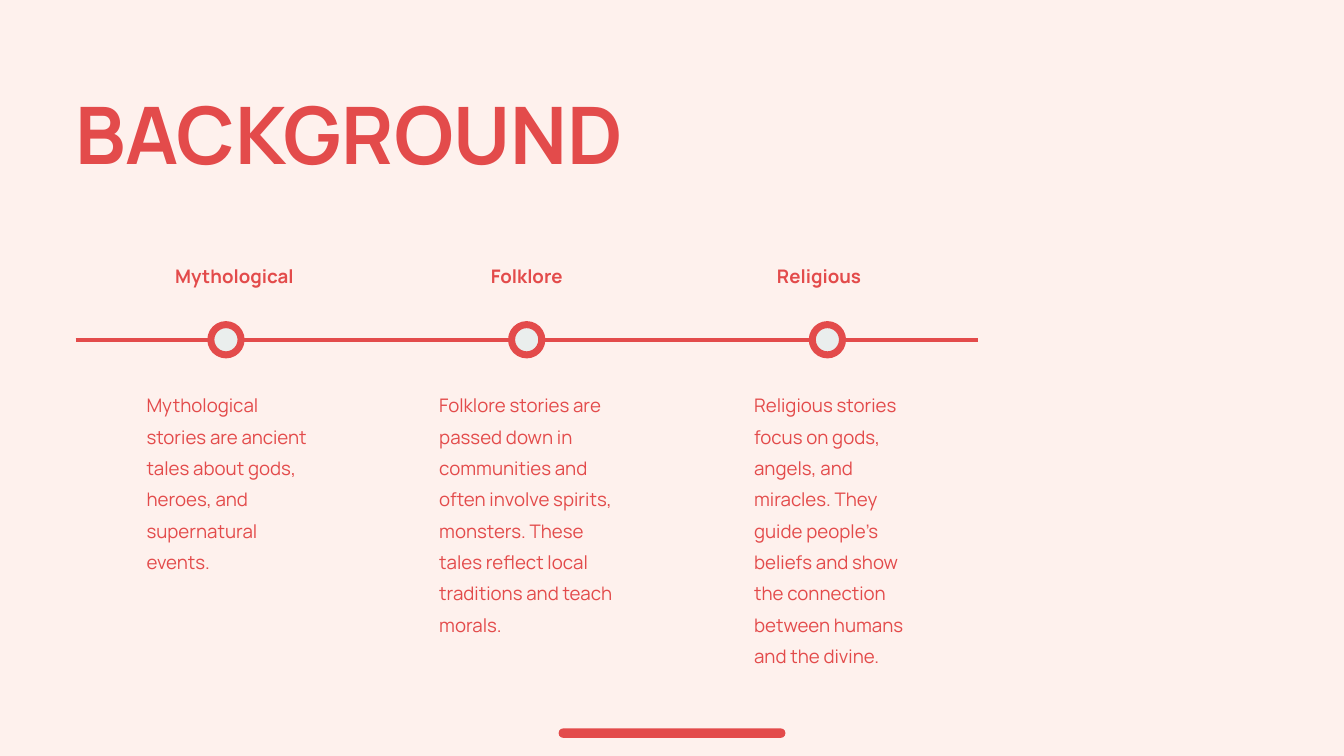
from pptx import Presentation
from pptx.dml.color import RGBColor as RGB
from pptx.enum.shapes import MSO_CONNECTOR as Link, MSO_SHAPE as Shape
from pptx.enum.text import MSO_ANCHOR as Anchor, PP_ALIGN as Align
from pptx.oxml.ns import qn
from pptx.util import Pt
from lxml.etree import SubElement

RED, PALE, CREAM = "E34B4B", "EAEEED", "FEF1ED"
FONT = "Manrope"
AXIS = 364      # height of the timeline
FIRST = 242.1   # centre of the first dot
STEP = 322.2    # gap between dot centres
DOT = 32.4      # dot width

# heading, left of body, body height, body
STAGES = [
    ("Mythological", 157, 194,
     "Mythological stories are ancient tales about gods, heroes, and "
     "supernatural events."),
    ("Folklore", 470.6, 262,
     "Folklore stories are passed down in communities and often involve "
     "spirits, monsters. These tales reflect local traditions and teach morals."),
    ("Religious", 808, 251,
     "Religious stories focus on gods, angels, and miracles. They guide "
     "people’s beliefs and show the connection between humans and the divine."),
]


def color(code):
    return RGB.from_string(code)


def paint(shape, code):
    shape.shadow.inherit = False
    shape.fill.solid()
    shape.fill.fore_color.rgb = color(code)


def add_text(slide, box, words, size, bold=False, align=Align.LEFT, gap=1.4):
    frame = slide.shapes.add_textbox(*map(Pt, box)).text_frame
    frame.word_wrap = True
    frame.vertical_anchor = Anchor.TOP
    frame.margin_left = frame.margin_right = 0
    frame.margin_top = frame.margin_bottom = 0
    para = frame.paragraphs[0]
    para.alignment = align
    para.line_spacing = gap
    run = para.add_run()
    run.text = words
    run.font.name = FONT
    run.font.size = Pt(size)
    run.font.bold = bold
    run.font.color.rgb = color(RED)


def add_line(slide, start, end):
    line = slide.shapes.add_connector(
        Link.STRAIGHT, Pt(start), Pt(AXIS), Pt(end), Pt(AXIS))
    line.line.color.rgb = color(RED)
    line.line.width = Pt(4)
    SubElement(line._element.spPr, qn("a:effectLst"))


def add_dot(slide, mid):
    dot = slide.shapes.add_shape(
        Shape.OVAL, Pt(mid - DOT / 2), Pt(AXIS - DOT / 2), Pt(DOT), Pt(DOT))
    paint(dot, PALE)
    dot.line.color.rgb = color(RED)
    dot.line.width = Pt(7.5)


def add_bar(slide):
    bar = slide.shapes.add_shape(
        Shape.ROUNDED_RECTANGLE, Pt(598.5), Pt(780.4), Pt(243), Pt(10.2))
    bar.adjustments[0] = 0.5
    paint(bar, RED)
    bar.line.fill.background()


def add_stage(slide, index, stage):
    head, left, height, body = stage
    mid = FIRST + index * STEP
    add_line(slide, mid - STEP / 2, mid - DOT / 2)
    add_line(slide, mid + DOT / 2, mid + STEP / 2)
    add_dot(slide, mid)
    add_text(slide, (133.2 + index * 313.2, 274.3, 236, 28.8), head, 20,
             bold=True, align=Align.CENTER)
    add_text(slide, (left, 412.6, 187.2, height), body, 20)


def main():
    deck = Presentation()
    deck.slide_width, deck.slide_height = Pt(1440), Pt(810)
    slide = deck.slides.add_slide(deck.slide_layouts[6])
    back = slide.background.fill
    back.solid()
    back.fore_color.rgb = color(CREAM)
    add_text(slide, (80.6, 82.8, 864.7, 100), "BACKGROUND", 85,
             bold=True, gap=1.08)
    add_bar(slide)
    for index, stage in enumerate(STAGES):
        add_stage(slide, index, stage)
    deck.save("out.pptx")


if __name__ == "__main__":
    main()
